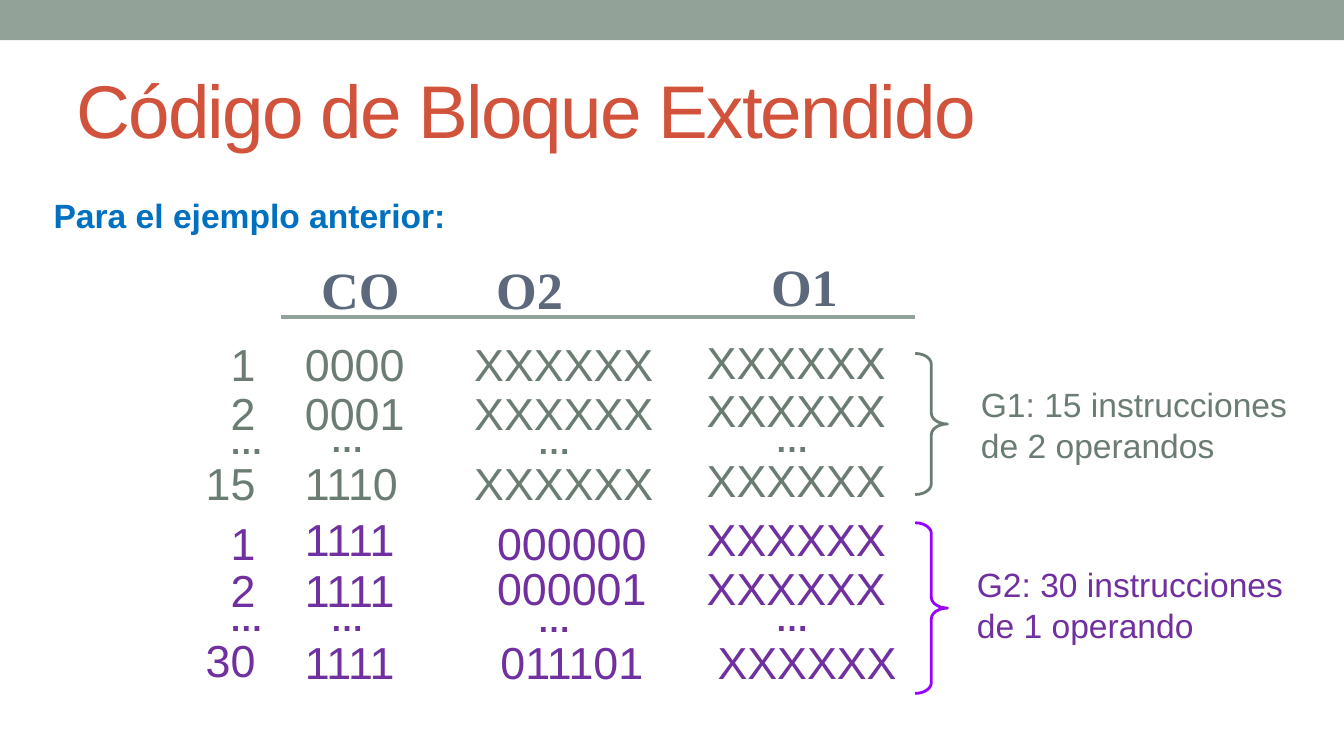
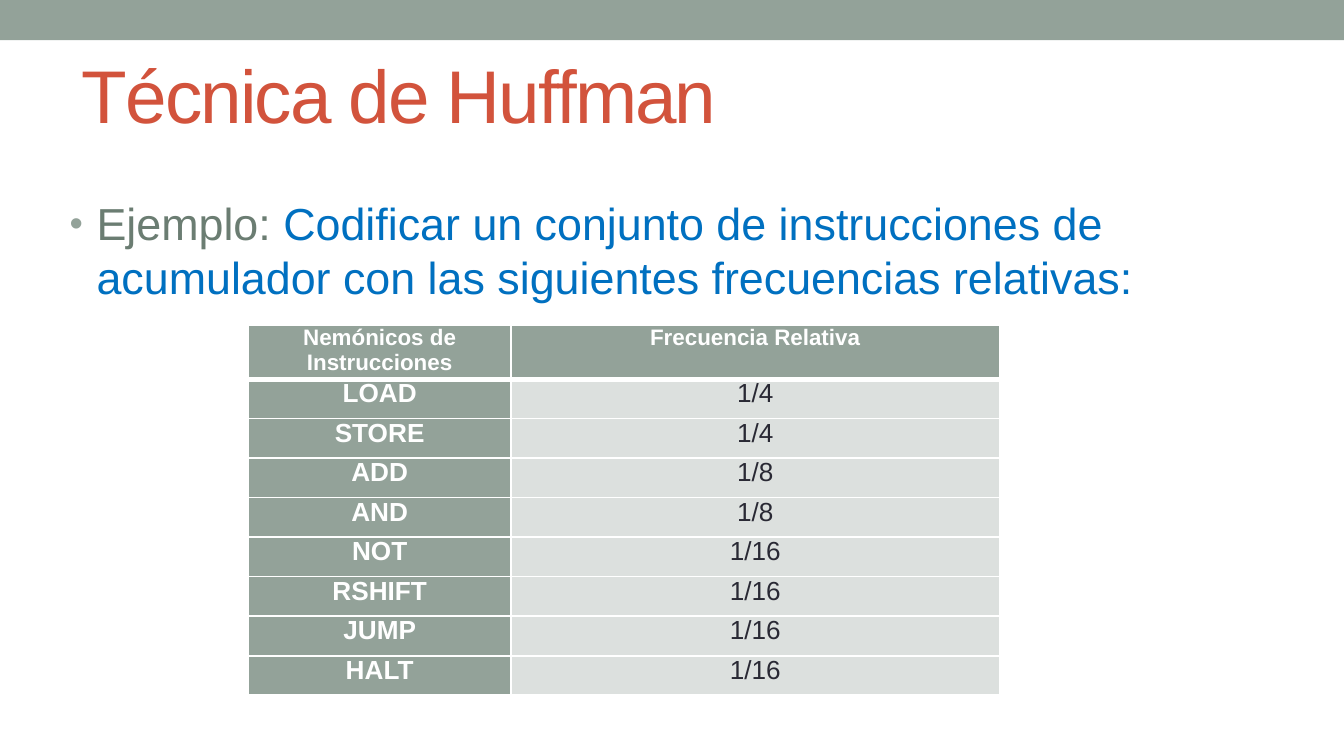
from lxml import etree
from pptx import Presentation
from pptx.dml.color import RGBColor
from pptx.enum.shapes import MSO_CONNECTOR as Connector, MSO_SHAPE as Shape
from pptx.enum.text import MSO_ANCHOR as Anchor, PP_ALIGN as Align
from pptx.oxml.ns import qn
from pptx.util import Inches, Pt

COLORS = {
    "band": "93A299", "title": "D2533C", "body": "6B7D72", "heading": "5C697C",
    "accent": "0070C0", "purple": "7030A0", "brace": "9900FF",
    "white": "FFFFFF", "dark": "292934", "cell": "DCE0DE",
}
SANS, SERIF = "Arial", "Times New Roman"

# Code columns: left edge and width
CODE_COLUMNS = [(2.17, 1.02), (3.43, 1.65), (5.16, 1.65)]
NUMBER_RIGHT = 2.0
ELLIPSIS_LEFTS = [1.61, 2.36, 3.9, 5.67]

# Rows: number, operation code, operands, and the top of each
TWO_OPERANDS = [
    (("1", "0000", "XXXXXX", "XXXXXX"), (2.46, 2.46, 2.46, 2.44)),
    (("2", "0001", "XXXXXX", "XXXXXX"), (2.82, 2.82, 2.82, 2.8)),
    (("15", "1110", "XXXXXX", "XXXXXX"), (3.34, 3.34, 3.34, 3.32)),
]
ONE_OPERAND = [
    (("1", "1111", "000000", "XXXXXX"), (3.79, 3.76, 3.79, 3.76)),
    (("2", "1111", "000001", "XXXXXX"), (4.14, 4.14, 4.12, 4.12)),
    (("30", "1111", "011101", "XXXXXX"), (4.66, 4.67, 4.67, 4.67)),
]
FREQUENCIES = [
    ("LOAD", "1/4"), ("STORE", "1/4"), ("ADD", "1/8"), ("AND", "1/8"),
    ("NOT", "1/16"), ("RSHIFT", "1/16"), ("JUMP", "1/16"), ("HALT", "1/16"),
]


def rgb(name):
    return RGBColor.from_string(COLORS[name])


def style_font(font, size, color, bold=False, name=SANS):
    font.name = name
    font.size = Pt(size)
    font.bold = bold
    font.color.rgb = rgb(color)


def add_text(slide, text, box, size, color, bold=False, name=SANS,
             align=Align.LEFT, anchor=Anchor.TOP, wrap=True):
    frame = slide.shapes.add_textbox(*map(Inches, box)).text_frame
    frame.word_wrap = wrap
    frame.vertical_anchor = anchor
    paragraph = frame.paragraphs[0]
    paragraph.text = text
    paragraph.alignment = align
    style_font(paragraph.font, size, color, bold, name)
    return paragraph


def add_titled_slide(presentation, title, box):
    slide = presentation.slides.add_slide(presentation.slide_layouts[6])
    band = slide.shapes.add_shape(Shape.RECTANGLE, 0, 0, Inches(10), Inches(0.3))
    band.shadow.inherit = False
    band.fill.solid()
    band.fill.fore_color.rgb = rgb("band")
    band.line.fill.background()
    paragraph = add_text(slide, title, box, 40, "title", anchor=Anchor.MIDDLE)
    paragraph.runs[0].font._element.set("spc", "-100")
    return slide


def add_rule(slide, left, right, top):
    line = slide.shapes.add_connector(
        Connector.STRAIGHT, Inches(left), Inches(top), Inches(right), Inches(top))
    line.line.color.rgb = rgb("band")
    line.line.width = Pt(2.25)
    etree.SubElement(line._element.spPr, qn("a:effectLst"))


def add_brace(slide, top, height, color):
    brace = slide.shapes.add_shape(
        Shape.RIGHT_BRACE, Inches(6.81), Inches(top), Inches(0.24), Inches(height))
    brace.shadow.inherit = False
    brace.adjustments[0] = 0.333
    brace.fill.background()
    brace.line.color.rgb = rgb(color)
    brace.line.width = Pt(1.5)


def add_code_group(slide, rows, ellipsis_tops, color, operand_align, last_shift=0):
    for texts, tops in rows:
        number_width = 0.39 if len(texts[0]) == 1 else 0.7
        add_text(slide, texts[0], (NUMBER_RIGHT - number_width, tops[0], number_width, 0.5),
                 24, color, align=Align.RIGHT, wrap=False)
        aligns = (Align.LEFT, operand_align, Align.LEFT)
        for column, (left, width) in enumerate(CODE_COLUMNS):
            if column == 2 and texts is rows[-1][0]:
                left += last_shift
            add_text(slide, texts[column + 1], (left, tops[column + 1], width, 0.5),
                     24, color, align=aligns[column])
    for left, top in zip(ELLIPSIS_LEFTS, ellipsis_tops):
        add_text(slide, "…", (left, top, 0.35, 0.4), 18, color, bold=True, wrap=False)


def add_bullet(paragraph):
    properties = paragraph._p.get_or_add_pPr()
    properties.set("marL", str(Inches(0.2)))
    properties.set("indent", str(-Inches(0.2)))
    bullet_color = etree.SubElement(properties, qn("a:buClr"))
    etree.SubElement(bullet_color, qn("a:srgbClr"), val=COLORS["band"])
    etree.SubElement(properties, qn("a:buSzPct"), val="85000")
    etree.SubElement(properties, qn("a:buFont"), typeface=SANS)
    etree.SubElement(properties, qn("a:buChar"), char="•")


def add_example(slide, label, text, box):
    frame = slide.shapes.add_textbox(*map(Inches, box)).text_frame
    frame.word_wrap = True
    paragraph = frame.paragraphs[0]
    add_bullet(paragraph)
    for part, color in ((label, "body"), (text, "accent")):
        run = paragraph.add_run()
        run.text = part
        style_font(run.font, 24, color)


def add_cell_borders(cell, top, bottom):
    properties = cell._tc.get_or_add_tcPr()
    for side, width in (("L", 1), ("R", 1), ("T", top), ("B", bottom)):
        border = etree.SubElement(properties, qn(f"a:ln{side}"), w=str(Pt(width)))
        fill = etree.SubElement(border, qn("a:solidFill"))
        etree.SubElement(fill, qn("a:srgbClr"), val=COLORS["white"])


def add_frequency_table(slide, header, rows):
    widths = (1.95, 3.64)
    heights = [Inches(0.24)] + [Pt(21.2)] * len(rows)
    table = slide.shapes.add_table(
        len(heights), len(widths), Inches(1.85), Inches(2.42),
        Inches(sum(widths)), sum(heights)).table
    for column, width in zip(table.columns, widths):
        column.width = Inches(width)
    for row, height in zip(table.rows, heights):
        row.height = height
    for r, texts in enumerate([header] + rows):
        for c, text in enumerate(texts):
            cell = table.cell(r, c)
            shaded = r == 0 or c == 0
            add_cell_borders(cell, 3 if r == 1 else 1, 3 if r == 0 else 1)
            cell.fill.solid()
            cell.fill.fore_color.rgb = rgb("band" if shaded else "cell")
            cell.margin_left = cell.margin_right = Inches(0.07)
            cell.margin_top = cell.margin_bottom = 0
            paragraph = cell.text_frame.paragraphs[0]
            paragraph.text = text
            paragraph.alignment = Align.CENTER
            style_font(paragraph.font, 12 if r == 0 else 14,
                       "white" if shaded else "dark", shaded)


def build_block_code(presentation):
    slide = add_titled_slide(presentation, "Código de Bloque Extendido",
                             (0.47, 0.34, 9.37, 0.94))
    add_text(slide, "Para el ejemplo anterior:", (0.3, 1.4, 6.61, 0.4),
             18, "accent", bold=True)

    # Column headings
    for text, left, top, width in (("CO", 2.12, 1.86, 1.12), ("O2", 3.5, 1.86, 0.88),
                                   ("O1", 5.42, 1.84, 1.13)):
        add_text(slide, text, (left, top, width, 0.57), 28, "heading", True, SERIF,
                 Align.CENTER, Anchor.MIDDLE)
    add_rule(slide, 2.09, 6.81, 2.36)

    # Instruction groups
    add_code_group(slide, TWO_OPERANDS, (3.08, 3.07, 3.08, 3.07), "body", Align.LEFT)
    add_brace(slide, 2.63, 1.05, "body")
    add_text(slide, "G1: 15 instrucciones de 2 operandos", (7.2, 2.81, 2.75, 0.71),
             18, "body")
    add_code_group(slide, ONE_OPERAND, (4.4, 4.4, 4.41, 4.4), "purple",
                   Align.CENTER, last_shift=0.08)
    add_brace(slide, 3.89, 1.27, "brace")
    add_text(slide, "G2: 30 instrucciones de 1 operando", (7.17, 4.15, 2.75, 0.71),
             18, "purple")


def build_huffman(presentation):
    slide = add_titled_slide(presentation, "Técnica de Huffman", (0.51, 0.29, 9, 0.81))
    add_example(slide, "Ejemplo: ",
                "Codificar un conjunto de instrucciones de acumulador "
                "con las siguientes frecuencias relativas:", (0.42, 1.41, 9.19, 0.93))
    add_frequency_table(slide, ("Nemónicos de Instrucciones", "Frecuencia Relativa"),
                        FREQUENCIES)


def main():
    presentation = Presentation()
    presentation.slide_width = Inches(10)
    presentation.slide_height = Inches(10) * 9 // 16
    build_block_code(presentation)
    build_huffman(presentation)
    presentation.save("out.pptx")


if __name__ == "__main__":
    main()
